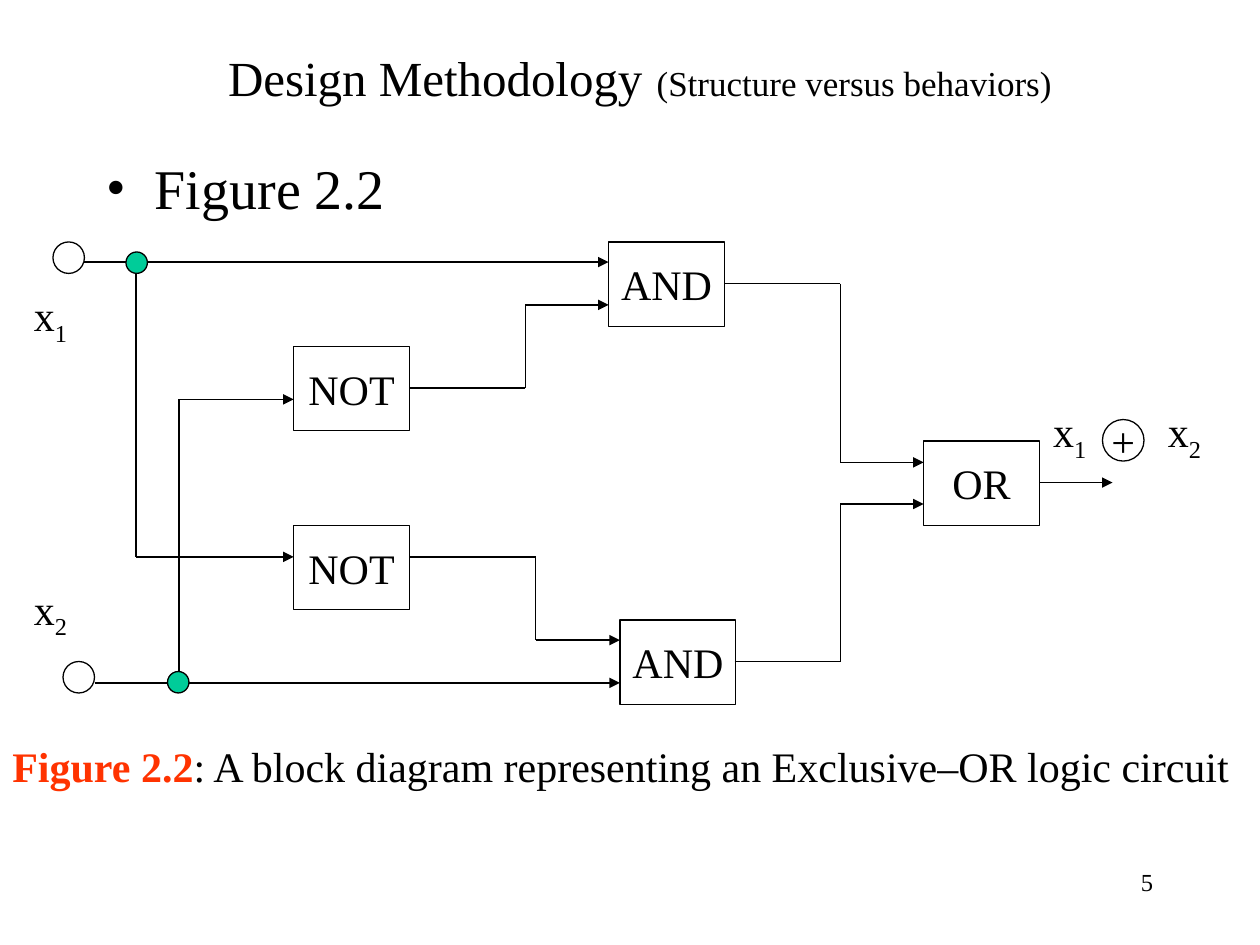
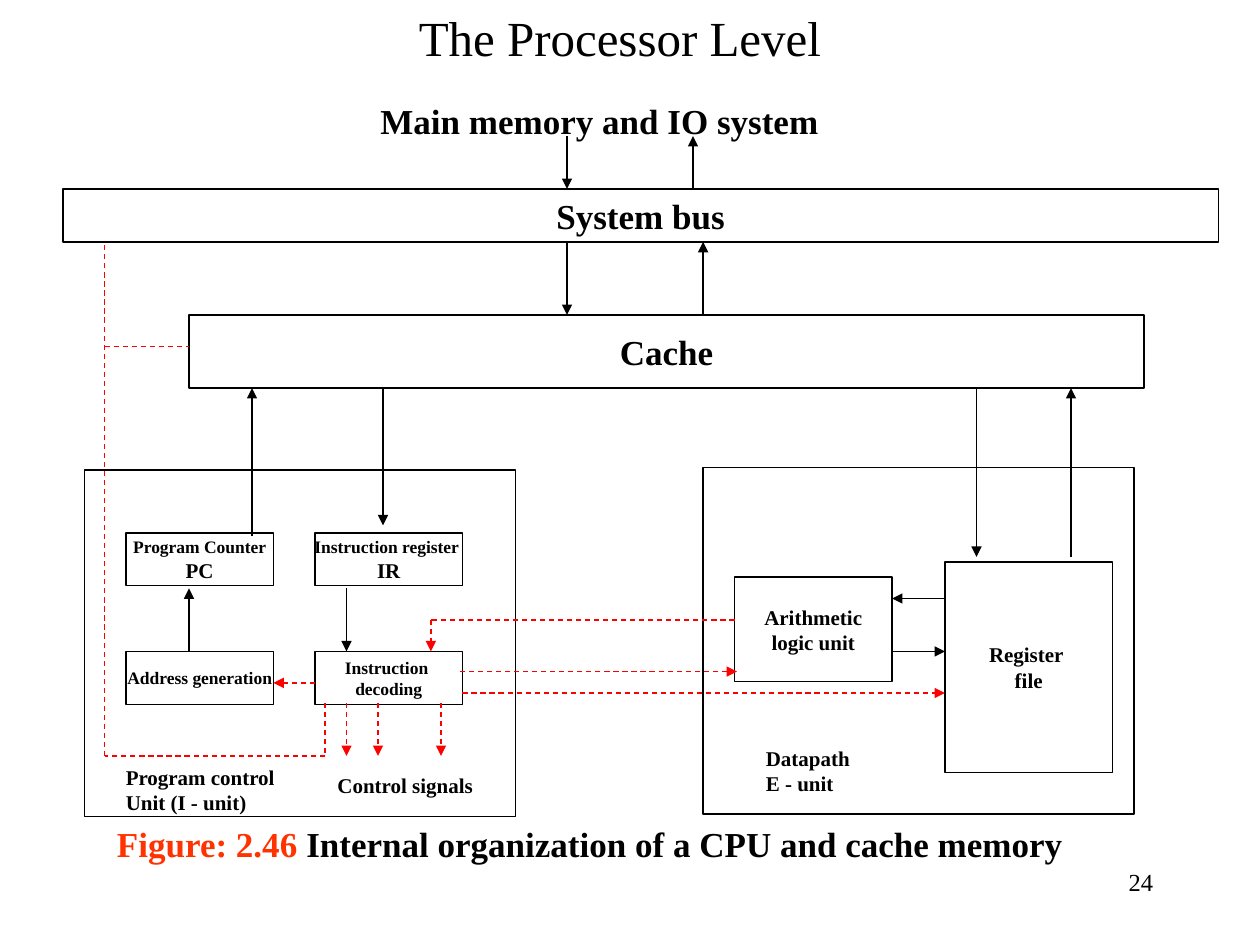
from itertools import pairwise
from lxml.etree import SubElement
from pptx import Presentation
from pptx.dml.color import RGBColor
from pptx.enum.dml import MSO_LINE
from pptx.enum.shapes import MSO_CONNECTOR, MSO_SHAPE
from pptx.enum.text import MSO_ANCHOR, PP_ALIGN
from pptx.oxml.ns import qn
from pptx.util import Inches, Pt

FONT = "Times New Roman"
BLACK = RGBColor(0x00, 0x00, 0x00)
WHITE = RGBColor(0xFF, 0xFF, 0xFF)
GREEN = RGBColor(0x00, 0xCC, 0x99)
RED = RGBColor(0xFF, 0x00, 0x00)
ORANGE = RGBColor(0xFF, 0x33, 0x00)

GATE_W, GATE_H = 0.92, 0.67
GATES = [
    ("NOT", 2.33, 4.17),
    ("NOT", 2.33, 2.75),
    ("AND", 4.83, 1.92),
    ("AND", 4.92, 4.92),
    ("OR", 7.33, 3.5),
]
GATE_WIRES = [
    [(0.67, 2.08), (4.83, 2.08)],
    [(0.75, 5.42), (4.92, 5.42)],
    [(1.42, 5.42), (1.42, 3.17), (2.33, 3.17)],
    [(1.08, 2.08), (1.08, 4.42), (2.33, 4.42)],
    [(3.25, 4.42), (4.25, 4.42), (4.25, 5.08), (4.92, 5.08)],
    [(3.25, 3.08), (4.17, 3.08), (4.17, 2.42), (4.83, 2.42)],
    [(5.75, 2.25), (6.67, 2.25), (6.67, 3.67), (7.33, 3.67)],
    [(5.83, 5.25), (6.67, 5.25), (6.67, 4), (7.33, 4)],
    [(8.25, 3.83), (8.83, 3.83)],
]
TERMINALS = [(0.42, 1.92), (0.5, 5.25)]
JUNCTIONS = [(1, 2), (1.33, 5.33)]
SIGNALS = [("1", 0.17, 2.25), ("2", 0.17, 4.58), ("1", 8.26, 3.17), ("2", 9.17, 3.17)]

UNITS = [
    ("System bus", (0.5, 1.5, 9.17, 0.42), 20),
    ("Cache", (1.5, 2.5, 7.58, 0.58), 20),
    ("", (0.67, 3.73, 3.42, 2.75), 12),
    ("", (5.58, 3.71, 3.42, 2.75), 12),
    ([[("Program Counter", {})], [("PC", {"size": 12})]], (1, 4.23, 1.17, 0.42), 10),
    ([[("Instruction register ", {})], [("IR", {"size": 12})]], (2.5, 4.23, 1.17, 0.42), 10),
    ("Address generation", (1, 5.17, 1.17, 0.42), 10),
    ("Instruction \ndecoding", (2.5, 5.17, 1.17, 0.42), 10),
    ("Arithmetic\nlogic unit", (5.83, 4.58, 1.25, 0.83), 12),
    ("Register \nfile", (7.5, 4.46, 1.33, 1.67), 12),
]
DATA_WIRES = [
    [(4.5, 1.08), (4.5, 1.5)],
    [(5.5, 1.5), (5.5, 1.08)],
    [(4.5, 1.92), (4.5, 2.5)],
    [(5.58, 2.5), (5.58, 1.92)],
    [(7.75, 3.08), (7.75, 4.42)],
    [(8.5, 4.42), (8.5, 3.08)],
    [(7.5, 4.75), (7.08, 4.75)],
    [(7.08, 5.17), (7.5, 5.17)],
    [(2.75, 4.67), (2.75, 5.17)],
    [(1.5, 5.17), (1.5, 4.67)],
    [(2, 4.25), (2, 3.08)],
    [(3.04, 3.08), (3.04, 4.17)],
]
CONTROL_WIRES = [
    [(2.5, 5.42), (2.17, 5.42)],
    *[[(x, 5.58), (x, 6)] for x in (2.75, 3, 3.5)],
    [(3.65, 5.33), (5.85, 5.33)],
    [(3.67, 5.5), (7.5, 5.5)],
    [(5.83, 4.92), (3.42, 4.92), (3.42, 5.17)],
]
CONTROL_LINKS = [
    [(2.58, 5.58), (2.58, 6), (0.83, 6), (0.83, 1.92)],
    [(0.83, 2.75), (1.5, 2.75)],
]
UNIT_LABELS = [
    ("Main memory and IO system", (2.92, 0.74, 4.25, 0.44), 20),
    ("Program control\nUnit (I - unit)", (0.9, 6.02, 1.43, 0.5), 12),
    ("Control signals", (2.58, 6.08, 1.4, 0.3), 12),
    ("Datapath\nE - unit", (5.98, 5.87, 1, 0.5), 12),
]


def write(sp, text, size=24, bold=False, align=PP_ALIGN.LEFT, anchor=MSO_ANCHOR.TOP,
          wrap=False, bullet=False):
    tf = sp.text_frame
    tf.word_wrap = wrap
    tf.vertical_anchor = anchor
    paragraphs = text
    if isinstance(text, str):
        paragraphs = [[(line, {})] for line in text.split("\n")]
    for i, runs in enumerate(paragraphs):
        p = tf.add_paragraph() if i else tf.paragraphs[0]
        p.alignment = align
        if bullet:
            pPr = p._p.get_or_add_pPr()
            pPr.set("marL", str(Inches(0.38)))
            pPr.set("indent", str(Inches(-0.38)))
            SubElement(pPr, qn("a:buFont")).set("typeface", FONT)
            SubElement(pPr, qn("a:buChar")).set("char", "•")
        for content, fmt in runs:
            r = p.add_run()
            r.text = content
            r.font.name = FONT
            r.font.size = Pt(fmt.get("size", size))
            r.font.bold = fmt.get("bold", bold)
            r.font.color.rgb = fmt.get("color", BLACK)
            if "baseline" in fmt:
                r.font._element.set("baseline", str(fmt["baseline"]))


def add_text(slide, text, box, **fmt):
    write(slide.shapes.add_textbox(*map(Inches, box)), text, **fmt)


def add_block(slide, box, text="", kind=MSO_SHAPE.RECTANGLE, fill=WHITE, **fmt):
    sp = slide.shapes.add_shape(kind, *map(Inches, box))
    sp.shadow.inherit = False
    sp.fill.solid()
    sp.fill.fore_color.rgb = fill
    sp.line.color.rgb = BLACK
    sp.line.width = Pt(0.75)
    if text:
        write(sp, text, align=PP_ALIGN.CENTER, anchor=MSO_ANCHOR.MIDDLE, **fmt)


def add_wire(slide, points, color=BLACK, dashed=False, arrow=True):
    for start, end in pairwise(points):
        line = slide.shapes.add_connector(MSO_CONNECTOR.STRAIGHT, *map(Inches, start + end))
        line.line.color.rgb = color
        line.line.width = Pt(0.75)
        if dashed:
            line.line.dash_style = MSO_LINE.DASH
        if arrow and end == points[-1]:
            SubElement(line.line._get_or_add_ln(), qn("a:tailEnd")).set("type", "triangle")
        SubElement(line._element.spPr, qn("a:effectLst"))


def add_slide(prs, title, title_box, number):
    slide = prs.slides.add_slide(prs.slide_layouts[6])
    add_text(slide, number, (7.17, 6.83, 2.08, 0.5), size=14, align=PP_ALIGN.RIGHT, wrap=True)
    add_text(slide, title, title_box, size=28, align=PP_ALIGN.CENTER,
             anchor=MSO_ANCHOR.MIDDLE, wrap=True)
    return slide


def build_gates(prs):
    title = [[("Design Methodology", {}), (" ", {"size": 32}),
              ("(Structure versus behaviors)", {"size": 20})]]
    slide = add_slide(prs, title, (0.83, 0.25, 8.5, 0.67), "5")
    add_text(slide, "Figure 2.2", (0.75, 1.17, 8.5, 4.5), size=32, wrap=True, bullet=True)
    for name, x, y in GATES:
        add_block(slide, (x, y, GATE_W, GATE_H), name)
    for points in GATE_WIRES:
        add_wire(slide, points)
    for spots, size, fill in ((TERMINALS, 0.25, WHITE), (JUNCTIONS, 0.17, GREEN)):
        for x, y in spots:
            add_block(slide, (x, y, size, size), kind=MSO_SHAPE.OVAL, fill=fill)
    for index, x, y in SIGNALS:
        add_text(slide, [[("x", {}), (index, {"baseline": -25000})]], (x, y, 0.58, 0.56))
    add_block(slide, (8.75, 3.33, 0.33, 0.33), "+", kind=MSO_SHAPE.OVAL)
    caption = [[("Figure 2.2", {"bold": True, "color": ORANGE}),
                (": A block diagram representing an Exclusive–OR logic circuit", {})]]
    add_text(slide, caption, (0, 5.83, 10, 0.5), wrap=True)


def build_processor(prs):
    slide = add_slide(prs, "The Processor Level", (0.67, 0, 8.5, 0.58), "24")
    for name, box, size in UNITS:
        add_block(slide, box, name, size=size, bold=True)
    for points in DATA_WIRES:
        add_wire(slide, points)
    for points in CONTROL_WIRES:
        add_wire(slide, points, color=RED, dashed=True)
    for points in CONTROL_LINKS:
        add_wire(slide, points, color=RED, dashed=True, arrow=False)
    for label, box, size in UNIT_LABELS:
        add_text(slide, label, box, size=size, bold=True, wrap=True)
    caption = [[("Figure: 2.46 ", {"color": ORANGE}),
                ("Internal organization of a CPU and cache memory", {}),
                (" ", {"size": 24})]]
    add_text(slide, caption, (0.83, 6.42, 8.08, 0.5), size=20, bold=True, wrap=True)


def main():
    prs = Presentation()
    prs.slide_width, prs.slide_height = Inches(10), Inches(7.5)
    build_gates(prs)
    build_processor(prs)
    prs.save("out.pptx")


if __name__ == "__main__":
    main()
